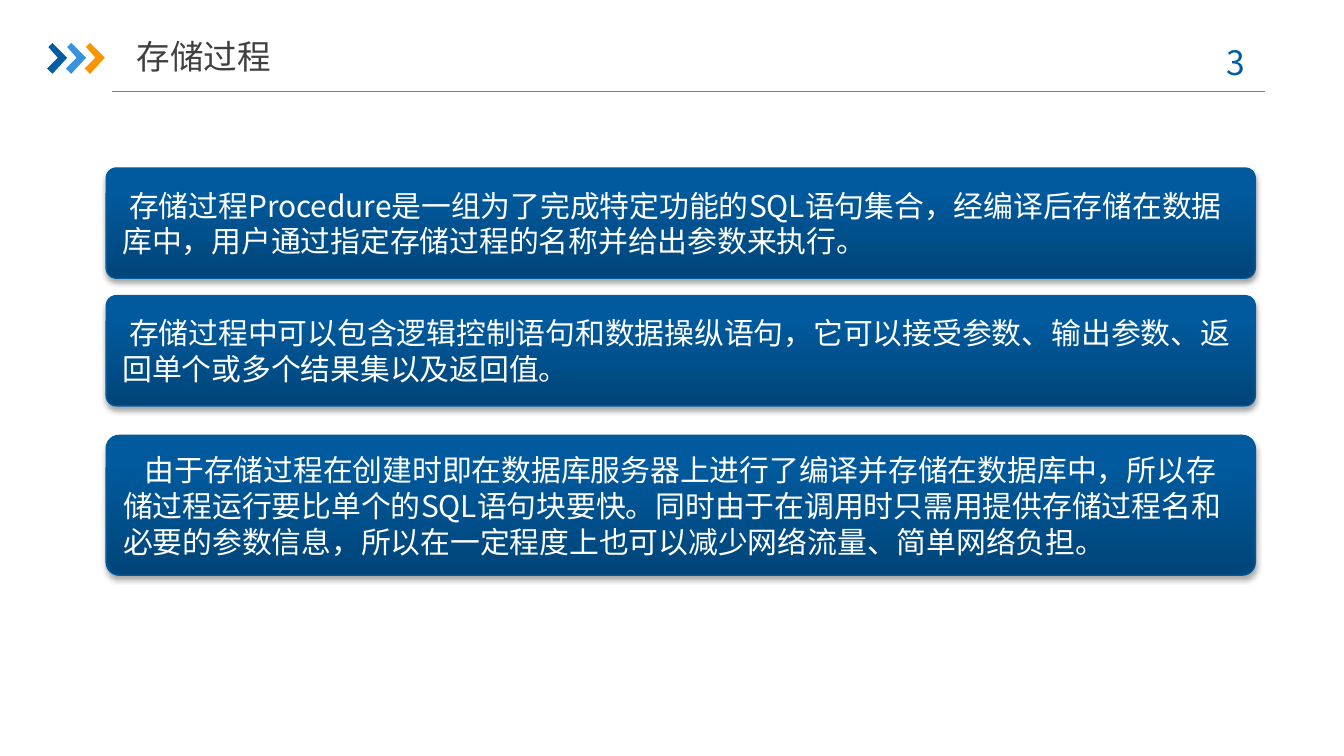
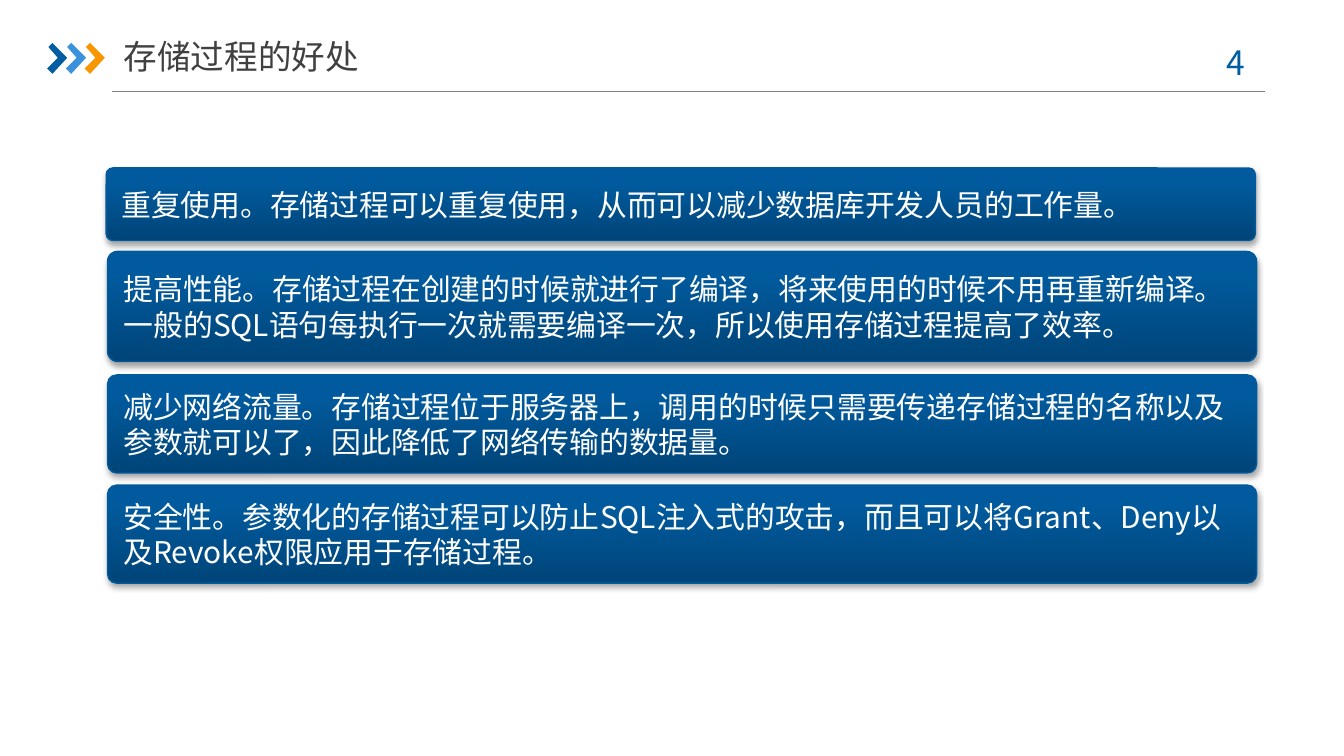
from lxml.etree import SubElement
from copy import deepcopy
from pptx import Presentation
from pptx.dml.color import RGBColor
from pptx.enum.shapes import MSO_CONNECTOR as Link, MSO_SHAPE as Kind
from pptx.enum.text import MSO_ANCHOR as Anchor, PP_ALIGN as Align
from pptx.oxml.ns import qn
from pptx.util import Inches, Pt

BLUE = RGBColor(0x00, 0x5D, 0xA2)
SKY = RGBColor(0x39, 0x92, 0xDB)
ORANGE = RGBColor(0xF7, 0x96, 0x00)
GRAY = RGBColor(0x80, 0x80, 0x80)
DARK = RGBColor(0x40, 0x40, 0x40)
WHITE = RGBColor(0xFF, 0xFF, 0xFF)
EDGE = RGBColor(0x00, 0x5B, 0x9E)
SHADES = [(0, RGBColor(0x00, 0x45, 0x79)), (0.8, RGBColor(0x00, 0x5A, 0x9D)), (1, EDGE)]
FONT = "Noto Sans CJK SC"
ARROW = [(0.36, 0.35), (0.39, 0.32), (0.5, 0.43), (0.39, 0.55), (0.35, 0.51), (0.43, 0.43)]
STEP = 0.14
LEFT, WIDTH = 0.79, 8.55

SLIDES = [
    (3, "存储过程", 1.45, [
        (LEFT, 1.25, 0.82, 0.05, "存储过程Procedure是一组为了完成特定功能的SQL语句集合，经编译后存储在数据库中，用户通过指定存储过程的名称并给出参数来执行。"),
        (LEFT, 2.2, 0.82, 0.05, "存储过程中可以包含逻辑控制语句和数据操纵语句，它可以接受参数、输出参数、返回单个或多个结果集以及返回值。"),
        (LEFT, 3.24, 1.04, 0.16, "由于存储过程在创建时即在数据库服务器上进行了编译并存储在数据库中，所以存储过程运行要比单个的SQL语句块要快。同时由于在调用时只需用提供存储过程名和必要的参数信息，所以在一定程度上也可以减少网络流量、简单网络负担。"),
    ]),
    (4, "存储过程的好处", 2.01, [
        (LEFT, 1.25, 0.54, 0, "重复使用。存储过程可以重复使用，从而可以减少数据库开发人员的工作量。"),
        (LEFT + 0.01, 1.87, 0.82, 0, "提高性能。存储过程在创建的时候就进行了编译，将来使用的时候不用再重新编译。一般的SQL语句每执行一次就需要编译一次，所以使用存储过程提高了效率。"),
        (LEFT + 0.01, 2.79, 0.73, 0, "减少网络流量。存储过程位于服务器上，调用的时候只需要传递存储过程的名称以及参数就可以了，因此降低了网络传输的数据量。"),
        (LEFT + 0.01, 3.61, 0.73, 0, "安全性。参数化的存储过程可以防止SQL注入式的攻击，而且可以将Grant、Deny以及Revoke权限应用于存储过程。"),
    ]),
]


def write(shape, text, size, color, align):
    frame = shape.text_frame
    frame.word_wrap = True
    frame.text = text
    line = frame.paragraphs[0]
    line.alignment = align
    font = line.runs[0].font
    font.name, font.size = FONT, Pt(size)
    font.color.rgb = color
    SubElement(font._element, qn("a:ea"), typeface=FONT)
    return frame


def add_text(slide, text, box, color):
    shape = slide.shapes.add_textbox(*map(Inches, box))
    return write(shape, text, 18, color, Align.CENTER)


def add_title(slide, text, width):
    frame = add_text(slide, text, (LEFT, 0.21, width, 0.42), DARK)
    frame.vertical_anchor = Anchor.MIDDLE
    frame.margin_left = frame.margin_right = 0


def add_rule(slide):
    rule = slide.shapes.add_connector(
        Link.STRAIGHT, Inches(0.83), Inches(0.68), Inches(9.41), Inches(0.68))
    rule.line.color.rgb = GRAY
    rule.line.width = Pt(0.75)
    SubElement(rule._element.spPr, qn("a:effectLst"))


def add_arrow(slide, shift, color):
    dots = [(Inches(x + shift), Inches(y)) for x, y in ARROW]
    pen = slide.shapes.build_freeform(*dots[0])
    pen.add_line_segments(dots[1:], close=True)
    arrow = pen.convert_to_shape()
    arrow.fill.solid()
    arrow.fill.fore_color.rgb = color
    arrow.line.fill.background()
    arrow.shadow.inherit = False


def add_frame(slide, number):
    add_rule(slide)
    for i, color in enumerate((BLUE, SKY, ORANGE)):
        add_arrow(slide, i * STEP, color)
    frame = add_text(slide, str(number), (8.86, 0.26, 0.73, 0.4), BLUE)
    frame.margin_right = Inches(0.16)


def shade(shape):
    fill = shape.fill
    fill.gradient()
    fill.gradient_angle = 90
    stops = shape._element.spPr.find(".//" + qn("a:gsLst"))
    stops.append(deepcopy(stops[0]))
    for stop, (place, color) in zip(fill.gradient_stops, SHADES):
        stop.position = place
        stop.color.rgb = color


def drop_shadow(shape):
    shape.shadow.inherit = False
    effects = shape._element.spPr.find(qn("a:effectLst"))
    outer = SubElement(effects, qn("a:outerShdw"), blurRad=str(Pt(3.1)),
                       dist=str(Pt(1.8)), dir="5400000", rotWithShape="0")
    black = SubElement(outer, qn("a:srgbClr"), val="000000")
    SubElement(black, qn("a:alpha"), val="35000")


def add_panel(slide, left, top, height, indent, text):
    panel = slide.shapes.add_shape(
        Kind.ROUNDED_RECTANGLE, *map(Inches, (left, top, WIDTH, height)))
    panel.adjustments[0] = 0.093
    shade(panel)
    panel.line.color.rgb = EDGE
    panel.line.width = Pt(0.75)
    drop_shadow(panel)
    frame = write(panel, text, 16, WHITE, Align.LEFT)
    frame.vertical_anchor = Anchor.MIDDLE
    frame.paragraphs[0]._p.get_or_add_pPr().set("indent", str(Inches(indent)))


def main():
    deck = Presentation()
    deck.slide_width, deck.slide_height = Inches(10), Inches(10 * 9 / 16)
    for number, title, width, panels in SLIDES:
        slide = deck.slides.add_slide(deck.slide_layouts[6])
        add_frame(slide, number)
        add_title(slide, title, width)
        for panel in panels:
            add_panel(slide, *panel)
    deck.save("out.pptx")


if __name__ == "__main__":
    main()
